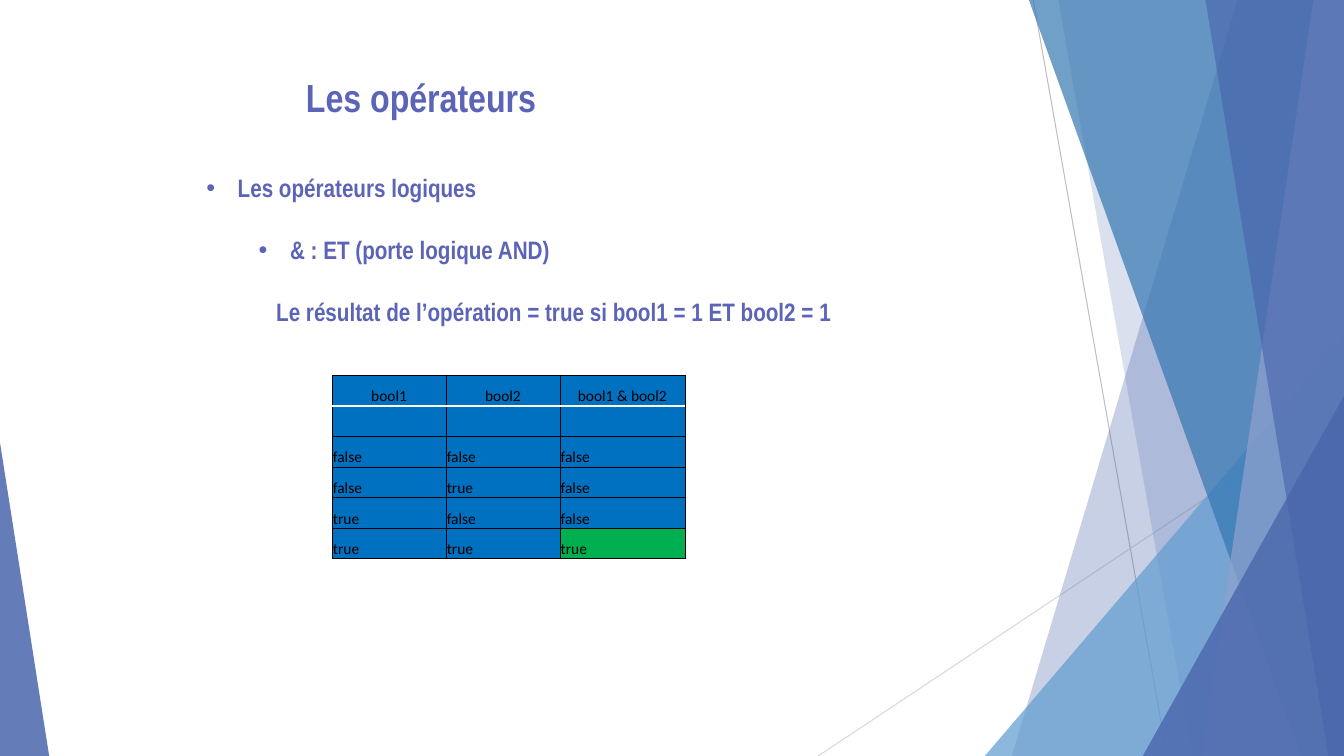
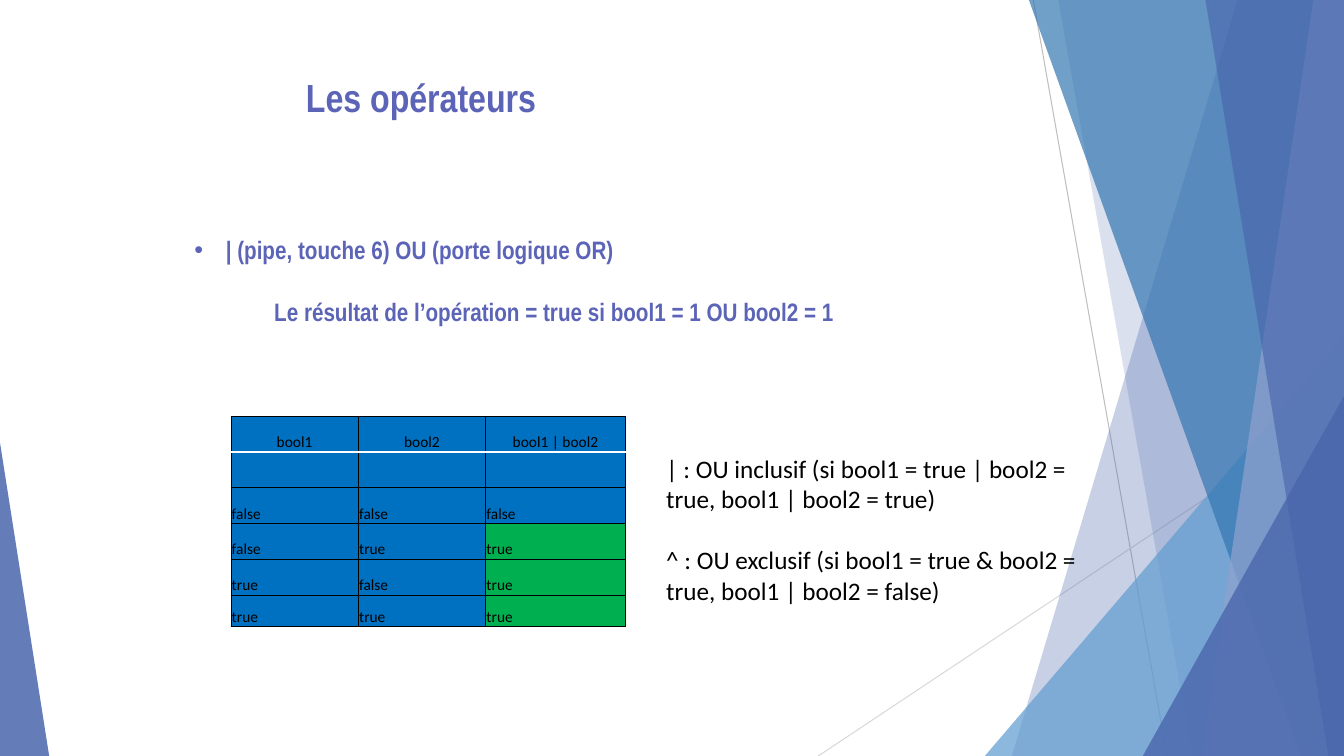
from lxml.etree import SubElement
from pptx import Presentation
from pptx.dml.color import RGBColor
from pptx.enum.shapes import MSO_CONNECTOR, MSO_SHAPE
from pptx.enum.text import MSO_ANCHOR, MSO_AUTO_SIZE, PP_ALIGN
from pptx.oxml.ns import qn
from pptx.util import Cm, Pt

# Shared look, lengths in cm
WIDE, HIGH = 33.87, 19.05
INK, BLACK = "5C64B7", "000000"
BLUE, GREEN, NAVY = "0070C0", "00B050", "4A66AC"
HEAD, TEXT = "Arial Narrow", "Calibri"
TITLE = (2.14, 1.85, 16.94, 1.35)

RULES = [((26.04, 0), (29.41, HIGH), "BFBFBF"),
         ((WIDE, 10.24), (20.62, HIGH), "D9D9D9")]
# Bands run to the right edge: top x, bottom x, colour, opacity
# Wedges: box, apex, colour, opacity
DECOR = [("band", (31.19, 25.5), NAVY, 30),
         ("band", (26.67, 30.05), NAVY, 20),
         ("wedge", (24.82, 8.46, 9.05, 10.59, 1), "629DD1", 72),
         ("band", (25.93, 32.79), "3477B2", 70),
         ("band", (33.1, 30.28), "90A2CF", 70),
         ("band", (30.38, 33.48), NAVY, 65),
         ("wedge", (28.8, 9.98, 5.07, 9.07, 1), NAVY, 80),
         ("wedge", (0, 11.15, 1.24, 7.9, 0), NAVY, 85)]

# Slide content; a list item is text, left margin, bullet or not
INPUTS = [("false", "false"), ("false", "true"),
          ("true", "false"), ("true", "true")]
SLIDES = [
    {"title": "Les opérateurs",
     "body": (4.55, 4.3, 19, 4.6),
     "list": [("Les opérateurs logiques", 1.44, True),
              ("& : ET (porte logique AND)", 2.76, True),
              ("Le résultat de l’opération = true si bool1 = 1 ET bool2 = 1",
               2.41, False)],
     "sign": "&", "out": ["false", "false", "false", "true"],
     "at": (8.37, 9.46), "cols": (2.87, 2.87, 3.15),
     "rows": [0.77] * 5 + [0.76],
     "notes": []},
    {"title": "Les opérateurs",
     "body": (4.55, 5.86, 19, 3),
     "list": [("| (pipe, touche 6) OU (porte logique OR)", 1.14, True),
              ("Le résultat de l’opération = true si bool1 = 1 OU bool2 = 1",
               2.36, False)],
     "sign": "|", "out": ["false", "true", "true", "true"],
     "at": (5.82, 10.49), "cols": (3.21, 3.21, 3.52),
     "rows": [0.9] * 5 + [0.8],
     "notes": [
         "| : OU inclusif (si bool1 = true | bool2 = true, "
         "bool1 | bool2 = true)",
         "^ : OU exclusif (si bool1 = true & bool2 = true, "
         "bool1 | bool2 = false)"]},
]
NOTE = (16.54, 11.3, 11.51, 4.88)


def tint(code):
    return RGBColor.from_string(code)


def place(shape, box):
    shape.left, shape.top, shape.width, shape.height = map(Cm, box)


def style(para, size, name, code, bold=False):
    font = para.font
    font.size, font.name, font.bold = Pt(size), name, bold
    font.color.rgb = tint(code)


def paint(shape, code, alpha):
    shape.shadow.inherit = False
    shape.line.fill.background()
    shape.fill.solid()
    shape.fill.fore_color.rgb = tint(code)
    color = shape.element.spPr.find(qn("a:solidFill"))[0]
    SubElement(color, qn("a:alpha"), val=str(alpha * 1000))


def draw_band(shapes, top, low):
    pen = shapes.build_freeform(Cm(top), 0)
    pen.add_line_segments([(Cm(WIDE), 0), (Cm(WIDE), Cm(HIGH)),
                           (Cm(low), Cm(HIGH))], close=True)
    return pen.convert_to_shape()


def draw_wedge(shapes, x, y, w, h, apex):
    shape = shapes.add_shape(MSO_SHAPE.ISOSCELES_TRIANGLE,
                             *map(Cm, (x, y, w, h)))
    shape.adjustments[0] = apex
    return shape


def decorate(slide, layout):
    """Draw the backdrop and hand it over to the shared layout."""
    parts = []
    for start, end, code in RULES:
        line = slide.shapes.add_connector(MSO_CONNECTOR.STRAIGHT,
                                          *map(Cm, start + end))
        line.line.color.rgb, line.line.width = tint(code), Pt(0.75)
        SubElement(line.element.spPr, qn("a:effectLst"))
        parts.append(line)
    for kind, spots, code, alpha in DECOR:
        draw = draw_band if kind == "band" else draw_wedge
        shape = draw(slide.shapes, *spots)
        paint(shape, code, alpha)
        parts.append(shape)
    for part in parts:
        layout.shapes.element.append(part.element)


def set_title(slide, text):
    frame = slide.shapes.title.text_frame
    frame.text, frame.auto_size = text, MSO_AUTO_SIZE.NONE
    frame.vertical_anchor = MSO_ANCHOR.MIDDLE
    para = frame.paragraphs[0]
    para.alignment, para.line_spacing = PP_ALIGN.CENTER, 0.9
    style(para, 28, HEAD, INK, True)


def set_list(slide, box, items):
    body = slide.placeholders[1]
    place(body, box)
    frame = body.text_frame
    frame.auto_size, frame.margin_left = MSO_AUTO_SIZE.NONE, 0
    frame.vertical_anchor = MSO_ANCHOR.TOP
    frame.text = "\n".join(text for text, _, _ in items)
    for i, (para, (_, left, dot)) in enumerate(zip(frame.paragraphs, items)):
        para.alignment, para.line_spacing = PP_ALIGN.LEFT, 0.9
        para.space_before = Pt(25 if i else 0)
        props = para._p.get_or_add_pPr()
        props.set("marL", str(Cm(left)))
        props.set("indent", str(-Cm(0.79) if dot else 0))
        if dot:
            SubElement(props, qn("a:buFont"), typeface="Arial")
            SubElement(props, qn("a:buChar"), char="•")
        else:
            SubElement(props, qn("a:buNone"))
        style(para, 18, HEAD, INK, True)


def set_cell(cell, text, code, sides, align):
    cell.text, cell.vertical_anchor = text, MSO_ANCHOR.BOTTOM
    cell.margin_left = cell.margin_right = cell.margin_top = Cm(0.02)
    cell.margin_bottom = 0
    props = cell._tc.get_or_add_tcPr()
    for side in sides:
        edge = SubElement(props, qn("a:ln" + side), w=str(Pt(0.5)))
        fill = SubElement(edge, qn("a:solidFill"))
        SubElement(fill, qn("a:srgbClr"), val=BLACK)
    cell.fill.solid()
    cell.fill.fore_color.rgb = tint(code)
    para = cell.text_frame.paragraphs[0]
    para.alignment = align
    style(para, 11, TEXT, BLACK)
    if not text:
        # Keeps the empty row from growing
        SubElement(para._p, qn("a:endParaRPr"), sz="1100")


def add_truth(slide, data):
    cols, rows = data["cols"], data["rows"]
    # The header takes two rows with no rule between them
    grid = [("bool1", "bool2", f"bool1 {data['sign']} bool2"), ("", "", "")]
    grid += [pair + (out,) for pair, out in zip(INPUTS, data["out"])]
    edges = ["LRT", "LRB"] + ["LRTB"] * len(INPUTS)
    box = data["at"] + (sum(cols), sum(rows))
    table = slide.shapes.add_table(len(rows), len(cols), *map(Cm, box)).table
    table.first_row = table.horz_banding = False
    for col, width in zip(table.columns, cols):
        col.width = Cm(width)
    for r, (line, high, sides) in enumerate(zip(grid, rows, edges)):
        table.rows[r].height = Cm(high)
        align = PP_ALIGN.LEFT if r else PP_ALIGN.CENTER
        for c, text in enumerate(line):
            code = GREEN if c == 2 and text == "true" else BLUE
            set_cell(table.cell(r, c), text, code, sides, align)


def add_notes(slide, notes):
    frame = slide.shapes.add_textbox(*map(Cm, NOTE)).text_frame
    frame.word_wrap = True
    frame.text = "\n".join(notes)
    for i, para in enumerate(frame.paragraphs):
        para.space_before = Pt(22 if i else 0)
        style(para, 18, TEXT, BLACK)


def main():
    deck = Presentation()
    deck.slide_width, deck.slide_height = Cm(WIDE), Cm(HIGH)
    layout = deck.slide_layouts[1]
    place(layout.placeholders[0], TITLE)
    for i, data in enumerate(SLIDES):
        slide = deck.slides.add_slide(layout)
        if i == 0:
            decorate(slide, layout)
        set_title(slide, data["title"])
        set_list(slide, data["body"], data["list"])
        add_truth(slide, data)
        if data["notes"]:
            add_notes(slide, data["notes"])
    deck.save("out.pptx")


if __name__ == "__main__":
    main()
